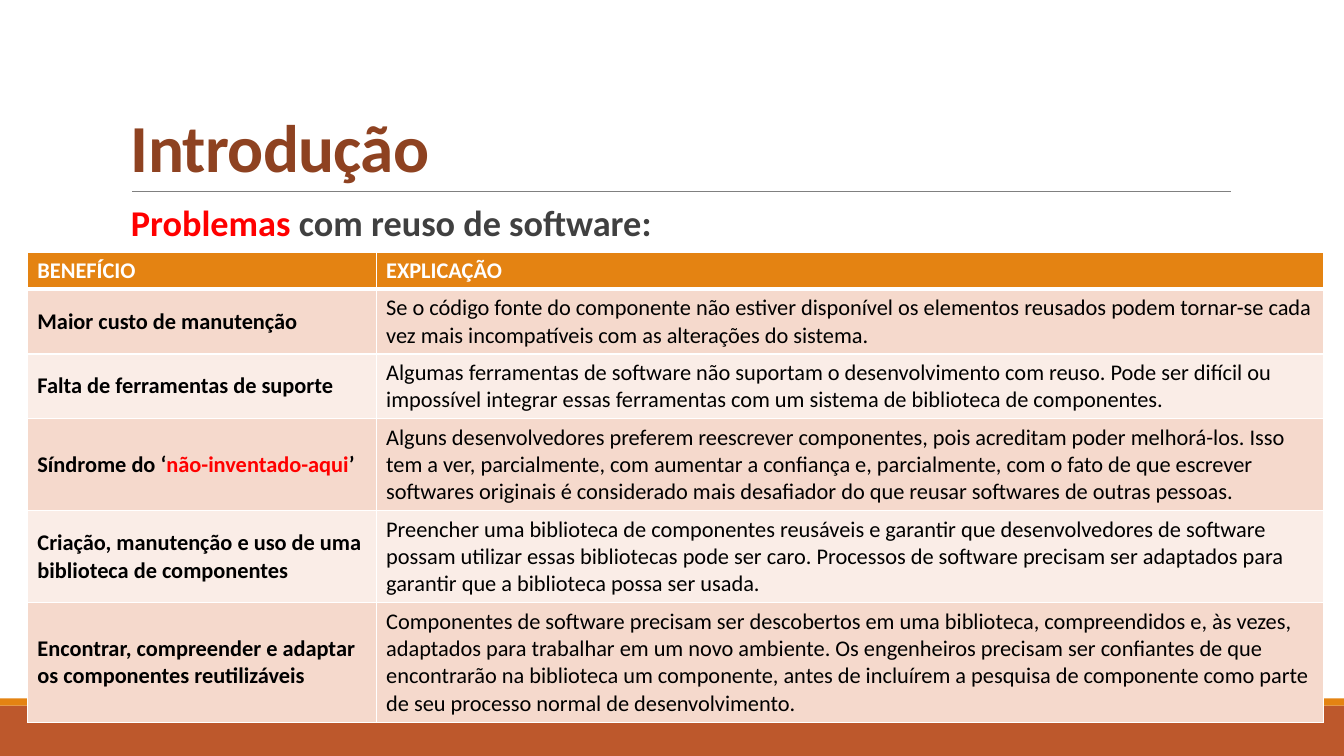
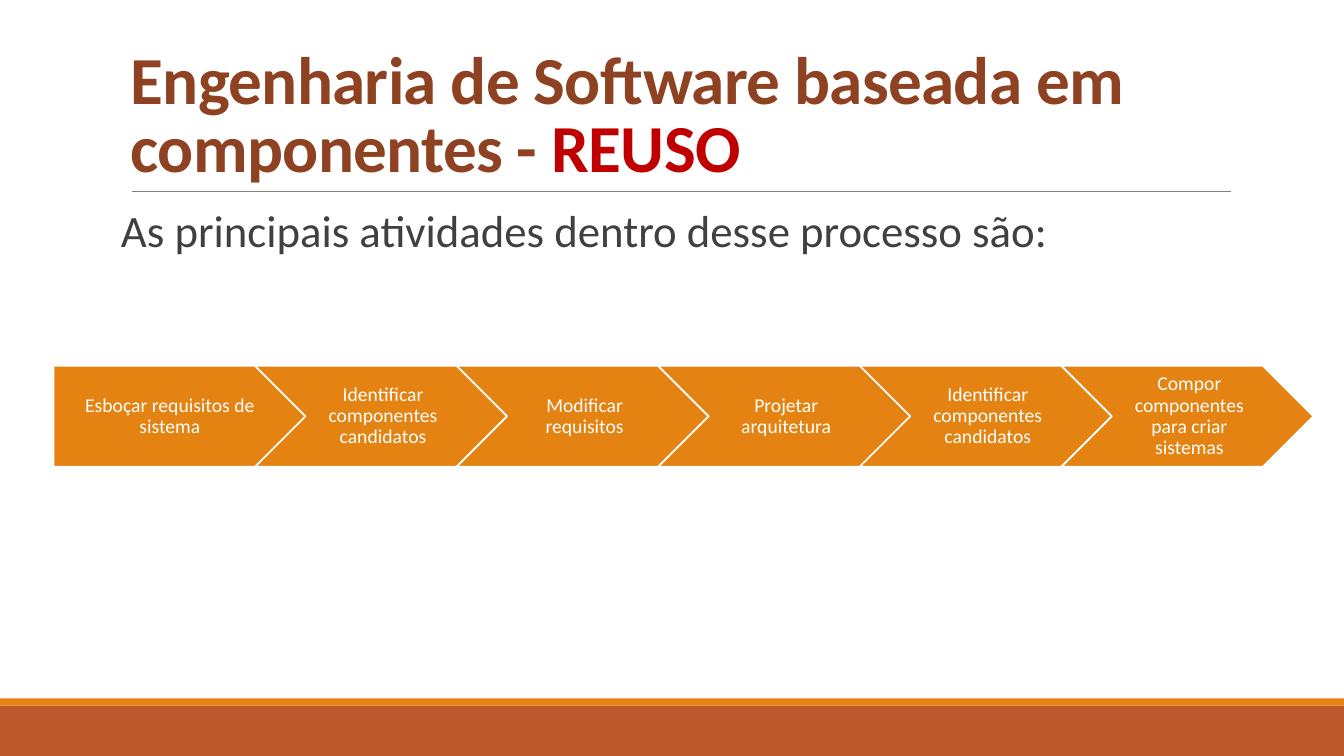
from lxml import etree
from pptx import Presentation
from pptx import util as u
from pptx.dml.color import RGBColor
from pptx.enum import shapes, text
from pptx.oxml.ns import qn

Cm, Pt = u.Cm, u.Pt
FONT = "Calibri"
COLORS = {
    "white": "FFFFFF", "black": "000000", "body": "404040", "rule": "808080",
    "title": "8E4221", "orange": "E48312", "rust": "BD582C",
    "red": "FF0000", "dark_red": "C00000",
    "row_dark": "F5D9CC", "row_light": "FAEDE7",
}
SLIDE_WIDTH, SLIDE_HEIGHT = 33.87, 19.05
CONTENT_LEFT, CONTENT_WIDTH, BODY_TOP = 3.05, 27.94, 5.13

TABLE_HEADER = ("BENEFÍCIO", "EXPLICAÇÃO")
PROBLEMS = [
    ("Maior custo de manutenção",
     "Se o código fonte do componente não estiver disponível os elementos reusados podem "
     "tornar-se cada vez mais incompatíveis com as alterações do sistema."),
    ("Falta de ferramentas de suporte",
     "Algumas ferramentas de software não suportam o desenvolvimento com reuso. Pode ser "
     "difícil ou impossível integrar essas ferramentas com um sistema de biblioteca de "
     "componentes."),
    (["Síndrome do ‘", ("não-inventado-aqui", "red"), "’"],
     "Alguns desenvolvedores preferem reescrever componentes, pois acreditam poder "
     "melhorá-los. Isso tem a ver, parcialmente, com aumentar a confiança e, parcialmente, "
     "com o fato de que escrever softwares originais é considerado mais desafiador do que "
     "reusar softwares de outras pessoas."),
    ("Criação, manutenção e uso de uma biblioteca de componentes",
     "Preencher uma biblioteca de componentes reusáveis e garantir que desenvolvedores de "
     "software possam utilizar essas bibliotecas pode ser caro. Processos de software "
     "precisam ser adaptados para garantir que a biblioteca possa ser usada."),
    ("Encontrar, compreender e adaptar os componentes reutilizáveis",
     "Componentes de software precisam ser descobertos em uma biblioteca, compreendidos e, "
     "às vezes, adaptados para trabalhar em um novo ambiente. Os engenheiros precisam ser "
     "confiantes de que encontrarão na biblioteca um componente, antes de incluírem a "
     "pesquisa de componente como parte de seu processo normal de desenvolvimento."),
]
ROW_HEIGHTS = (0.94, 1.63, 1.63, 2.32, 2.32, 3.01)
COLUMN_WIDTHS = (8.79, 23.88)

ACTIVITIES = [
    "Esboçar requisitos de sistema",
    "Identificar componentes candidatos",
    "Modificar requisitos",
    "Projetar arquitetura",
    "Identificar componentes candidatos",
    "Compor componentes para criar sistemas",
]


def rgb(name):
    return RGBColor.from_string(COLORS[name])


def write_text(frame, content, size, color, bold=False, align=None, line_spacing=None,
               before=None, after=None, tracking=None):
    """Write one paragraph; content is a string or a list of strings and (string, color)."""
    paragraph = frame.paragraphs[0]
    paragraph.alignment = align
    paragraph.line_spacing = line_spacing
    paragraph.space_before = before
    paragraph.space_after = after
    for part in [content] if isinstance(content, str) else content:
        words, part_color = (part, color) if isinstance(part, str) else part
        run = paragraph.add_run()
        run.text = words
        run.font.name, run.font.size, run.font.bold = FONT, Pt(size), bold
        run.font.color.rgb = rgb(part_color)
        if tracking is not None:
            run.font._element.set("spc", str(round(tracking * 100)))


def set_frame(frame, anchor, left=0.25, top=0.13, right=0.25, bottom=0.13):
    frame.word_wrap = True
    frame.vertical_anchor = anchor
    frame.margin_left, frame.margin_top = Cm(left), Cm(top)
    frame.margin_right, frame.margin_bottom = Cm(right), Cm(bottom)


def add_box(slide, kind, left, top, width, height, fill, line=None):
    shape = slide.shapes.add_shape(kind, Cm(left), Cm(top), Cm(width), Cm(height))
    shape.shadow.inherit = False
    shape.fill.solid()
    shape.fill.fore_color.rgb = rgb(fill)
    if line:
        shape.line.color.rgb = rgb(line)
        shape.line.width = Pt(1.25)
    else:
        shape.line.fill.background()
    return shape


def add_text(slide, content, left, top, width, height, anchor=text.MSO_ANCHOR.TOP,
             side_margin=0.25, **text_format):
    box = slide.shapes.add_textbox(Cm(left), Cm(top), Cm(width), Cm(height))
    set_frame(box.text_frame, anchor, left=side_margin, right=side_margin)
    write_text(box.text_frame, content, **text_format)


def add_rule(slide, left, right, y):
    rule = slide.shapes.add_connector(
        shapes.MSO_CONNECTOR.STRAIGHT, Cm(left), Cm(y), Cm(right), Cm(y))
    rule.line.color.rgb = rgb("rule")
    rule.line.width = Pt(0.5)
    etree.SubElement(rule._element.spPr, qn("a:effectLst"))


def add_titled_slide(presentation, title):
    """Add a blank slide with the footer bands, the title and the rule under it."""
    slide = presentation.slides.add_slide(presentation.slide_layouts[6])
    rectangle = shapes.MSO_SHAPE.RECTANGLE
    add_box(slide, rectangle, 0, 17.78, SLIDE_WIDTH, 1.27, "rust")
    add_box(slide, rectangle, 0, 17.6, SLIDE_WIDTH, 0.18, "orange")
    add_rule(slide, 3.33, 31.01, 4.83)
    add_text(slide, title, CONTENT_LEFT, 0.79, CONTENT_WIDTH, 4.04,
             anchor=text.MSO_ANCHOR.BOTTOM, size=48, color="title", bold=True,
             line_spacing=0.85, tracking=-0.5)
    return slide


def add_lead(slide, content, left, height, **text_format):
    """Add the sentence that opens the body of a slide."""
    add_text(slide, content, left, BODY_TOP, CONTENT_WIDTH, height, side_margin=0,
             color="body", before=Pt(12), after=Pt(2), **text_format)


def set_borders(cell, **widths):
    """Draw white borders; widths gives points for the sides L, R, T and B."""
    properties = cell._tc.get_or_add_tcPr()
    for side, width in widths.items():
        line = etree.SubElement(properties, qn(f"a:ln{side}"), w=str(Pt(width)))
        fill = etree.SubElement(line, qn("a:solidFill"))
        etree.SubElement(fill, qn("a:srgbClr"), val=COLORS["white"])


def add_problem_table(slide, left, top):
    rows = [TABLE_HEADER, *PROBLEMS]
    table = slide.shapes.add_table(
        len(rows), len(COLUMN_WIDTHS), Cm(left), Cm(top),
        Cm(sum(COLUMN_WIDTHS)), Cm(sum(ROW_HEIGHTS))).table
    for column, width in zip(table.columns, COLUMN_WIDTHS):
        column.width = Cm(width)
    for i, (row, height, contents) in enumerate(zip(table.rows, ROW_HEIGHTS, rows)):
        row.height = Cm(height)
        is_header = i == 0
        fill = "orange" if is_header else ("row_light", "row_dark")[i % 2]
        for j, (cell, content) in enumerate(zip(row.cells, contents)):
            is_label = j == 0 and not is_header
            set_borders(cell, L=1, R=1, T=3 if i == 1 else 1, B=3 if is_header else 1)
            cell.fill.solid()
            cell.fill.fore_color.rgb = rgb(fill)
            cell.vertical_anchor = text.MSO_ANCHOR.MIDDLE if is_label else text.MSO_ANCHOR.TOP
            write_text(cell.text_frame, content, size=16, bold=is_header or is_label,
                       color="white" if is_header else "black")


def add_process(slide, steps, left, top, width=6.35, height=2.54, pitch=5.08):
    """Add a chain of arrows: a pentagon first, then chevrons."""
    for i, step in enumerate(steps):
        kind = shapes.MSO_SHAPE.CHEVRON if i else shapes.MSO_SHAPE.PENTAGON
        arrow = add_box(slide, kind, left + i * pitch, top, width, height, "orange", "white")
        set_frame(arrow.text_frame, text.MSO_ANCHOR.MIDDLE,
                  left=0.15 if i else 0.2, top=0.1, right=0.05, bottom=0.1)
        write_text(arrow.text_frame, step, size=14, color="white",
                   align=text.PP_ALIGN.CENTER, line_spacing=0.9)


def build_problems_slide(presentation):
    slide = add_titled_slide(presentation, "Introdução")
    add_lead(slide, [("Problemas", "red"), " com reuso de software:"],
             CONTENT_LEFT + 0.25, 1.22, size=25.9, bold=True, line_spacing=0.8)
    add_problem_table(slide, 0.69, 6.35)


def build_activities_slide(presentation):
    slide = add_titled_slide(
        presentation,
        ["Engenharia de Software baseada em componentes - ", ("REUSO", "dark_red")])
    add_lead(slide, "As principais atividades dentro desse processo são:",
             CONTENT_LEFT, 13.13, size=32, line_spacing=0.9)
    add_process(slide, ACTIVITIES, 1.35, 9.22)


def main():
    presentation = Presentation()
    presentation.slide_width = Cm(SLIDE_WIDTH)
    presentation.slide_height = Cm(SLIDE_HEIGHT)
    build_problems_slide(presentation)
    build_activities_slide(presentation)
    presentation.save("out.pptx")


if __name__ == "__main__":
    main()
